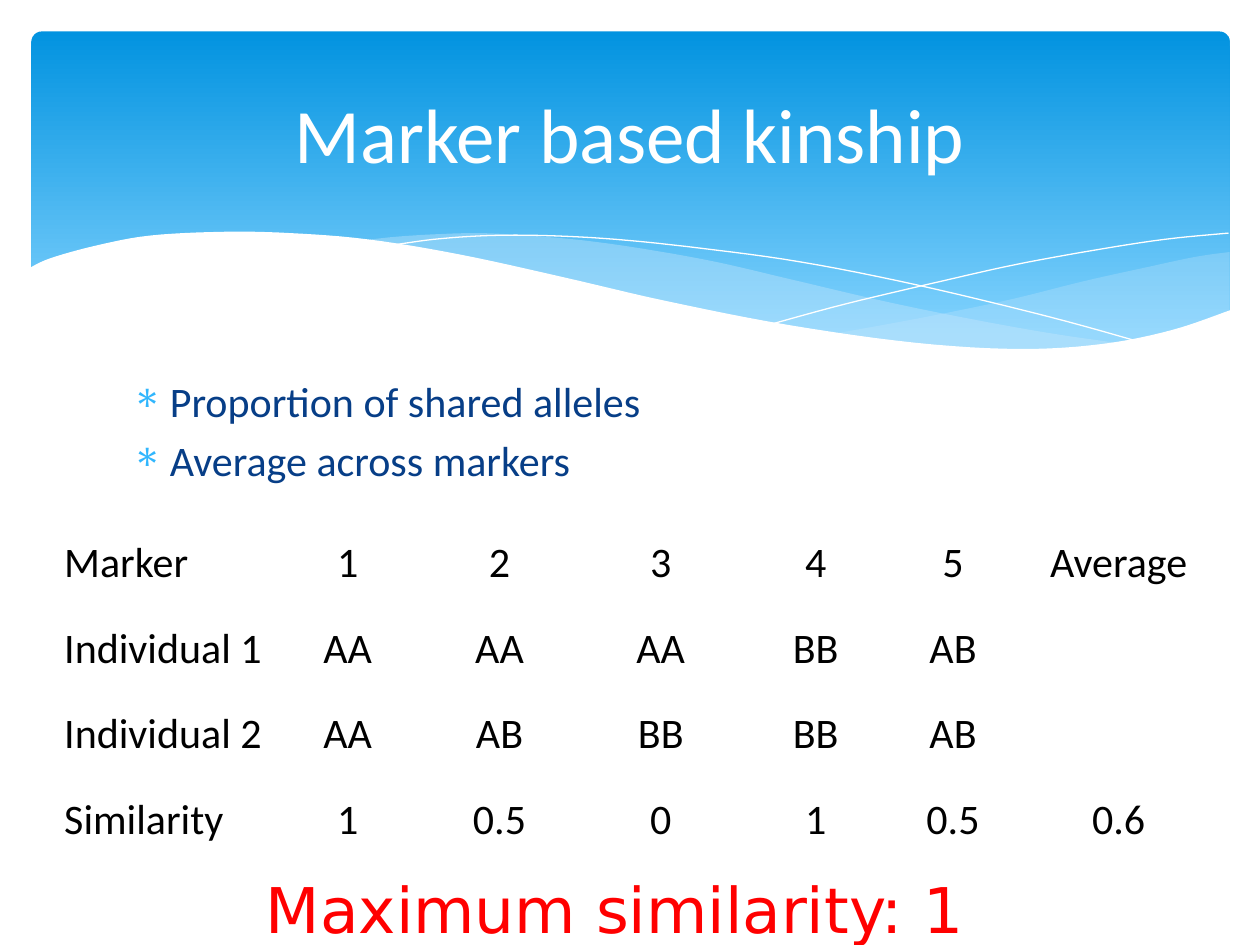
"""Build the marker based kinship slide on a grid of 100 columns by 75 rows."""
from dataclasses import dataclass
from typing import Optional

import lxml.etree
import pptx
import pptx.dml.color
import pptx.enum.shapes
import pptx.enum.text
import pptx.oxml.ns
import pptx.util

RGB = pptx.dml.color.RGBColor
WHITE = RGB(0xFF, 0xFF, 0xFF)
BLACK = RGB(0x00, 0x00, 0x00)
RED = RGB(0xFF, 0x00, 0x00)
NAVY = RGB(0x07, 0x3E, 0x87)
SKY = RGB(0x31, 0xB6, 0xFD)
BANNER_TOP = RGB(0x02, 0x93, 0xE0)
BANNER_END = RGB(0x83, 0xD3, 0xFE)
PALE = RGB(0xC6, 0xE7, 0xFC)

ALIGN = pptx.enum.text.PP_ALIGN
ANCHOR = pptx.enum.text.MSO_ANCHOR
qn = pptx.oxml.ns.qn
Point = tuple[float, float]

SLIDE_W, SLIDE_H = pptx.util.Inches(10), pptx.util.Inches(7.5)
COL, ROW = SLIDE_W / 100, SLIDE_H / 75
CURVE_STEPS = 6


@dataclass(frozen=True)
class Wave:
    """A run of smooth edges, filled when it has a fill and stroked otherwise."""
    edges: tuple[tuple[Point, ...], ...]
    fill: Optional[RGB] = None
    opacity: int = 100


@dataclass(frozen=True)
class Label:
    """Lines of text in a box given in columns and rows."""
    box: tuple[float, float, float, float]
    lines: tuple[str, ...]
    size: float
    color: RGB
    font: str = "Calibri"
    align: ALIGN = ALIGN.CENTER
    anchor: ANCHOR = ANCHOR.TOP
    bullet: str = ""


WAVES = (
    Wave((((97.6, 20), (94.8, 20.4), (90.6, 21.3), (86.1, 22.3), (80.5, 23.7),
           (75.3, 24.8), (70.6, 25.7), (66.1, 26.5)),
          ((66.1, 26.5), (70.5, 27.1), (74.5, 27.5), (78.1, 27.7), (81.4, 27.8),
           (85.4, 27.7), (88.9, 27.2), (92.1, 26.5), (94.9, 25.7), (97.6, 24.7))),
         PALE, 29),
    Wave((((89.3, 27.3), (83.7, 26.5), (77.5, 25.4), (70.6, 24), (62.9, 22.2),
           (56.9, 20.8), (51.4, 19.8), (46.5, 19.1), (42, 18.7), (38, 18.5),
           (34.4, 18.6), (31.3, 18.8), (28.6, 19.1)),
          ((28.6, 19.1), (34.2, 19.9), (40.4, 21.1), (44.9, 22.2), (53, 24),
           (60.1, 25.5), (66.5, 26.6), (72.2, 27.4), (77.3, 27.7), (81.8, 27.8),
           (85.7, 27.7), (89.3, 27.3))),
         PALE, 40),
    Wave((((30.9, 19.5), (34.4, 19), (38.7, 18.7), (43.3, 18.7), (48.9, 19),
           (55.6, 19.7), (63.6, 20.8), (72.7, 22.6), (83.1, 25.1), (90.7, 27.2)),)),
    Wave((((61.3, 25.7), (67.2, 24.1), (74.8, 22.3), (80.6, 21), (86.6, 19.9),
           (92.4, 19), (97.5, 18.5)),)),
    Wave((((97.7, 24.6), (93, 26.2), (87.5, 27.3), (80.9, 27.7), (72.6, 27.2),
           (62.6, 25.8), (52.9, 23.9), (44.7, 22), (36.5, 20.2), (29.2, 19),
           (23, 18.5), (17.7, 18.4), (11.9, 18.7), (7.6, 19.5), (4, 20.5), (2.3, 21.3)),
          ((2.3, 32.9), (97.7, 32.9))),
         WHITE),
)

LABELS = (
    Label((9.5, 29.3, 81, 12.1), ("Proportion of shared alleles", "Average across markers"),
          24, NAVY, align=ALIGN.LEFT, bullet="∗"),
    Label((5, 3.7, 90, 13.7), ("Marker based kinship",), 44, WHITE, anchor=ANCHOR.MIDDLE),
    Label((19.2, 68.6, 59.2, 7.1), ("Maximum similarity: 1",), 36, RED, font="DejaVu Sans"),
)

TABLE_LEFT, TABLE_TOP, TABLE_ROW = 5, 41.3, 6.78
TABLE_COLS = (16.9, 11.4, 12.7, 12.9, 11.7, 10.1, 16.2)
GENOTYPES = (
    ("Marker", "1", "2", "3", "4", "5", "Average"),
    ("Individual 1", "AA", "AA", "AA", "BB", "AB", ""),
    ("Individual 2", "AA", "AB", "BB", "BB", "AB", ""),
    ("Similarity", "1", "0.5", "0", "1", "0.5", "0.6"),
)


def place(left: float, top: float, width: float, height: float) -> tuple[int, ...]:
    """Turn columns and rows into slide lengths."""
    return round(left * COL), round(top * ROW), round(width * COL), round(height * ROW)


def smooth(knots: tuple[Point, ...]) -> list[Point]:
    """Sample a Catmull-Rom curve through the knots."""
    padded = (knots[0], *knots, knots[-1])
    points = [knots[0]]
    for a, b, c, d in zip(padded, padded[1:], padded[2:], padded[3:]):
        for step in range(1, CURVE_STEPS + 1):
            t = step / CURVE_STEPS
            points.append(tuple(
                (2 * q + (r - p) * t + (2 * p - 5 * q + 4 * r - s) * t ** 2
                 + (3 * q - p - 3 * r + s) * t ** 3) / 2
                for p, q, r, s in zip(a, b, c, d)))
    return points


def add_run(p, text: str, size: float, color: RGB, font: str = "Calibri") -> None:
    """Append one styled run to a paragraph."""
    r = p.add_run()
    r.text = text
    r.font.size = pptx.util.Pt(size)
    r.font.name = font
    r.font.color.rgb = color


def add_banner(s) -> None:
    """Draw the rounded gradient banner."""
    sp = s.shapes.add_shape(pptx.enum.shapes.MSO_SHAPE.ROUNDED_RECTANGLE,
                            *place(2.5, 2.5, 95.1, 27))
    sp.adjustments[0] = 0.03
    sp.shadow.inherit = False
    sp.line.fill.background()
    sp.fill.gradient()
    sp.fill.gradient_angle = 270
    for stop, color, position in zip(sp.fill.gradient_stops, (BANNER_TOP, BANNER_END), (0, 0.9)):
        stop.color.rgb = color
        stop.position = position


def add_wave(s, wave: Wave) -> None:
    """Draw one wave as a freeform."""
    first, *rest = [(x * COL, y * ROW) for edge in wave.edges for x, y in smooth(edge)]
    builder = s.shapes.build_freeform(*first)
    builder.add_line_segments(rest, close=wave.fill is not None)
    sp = builder.convert_to_shape()
    sp.shadow.inherit = False
    if wave.fill is None:
        sp.fill.background()
        sp.line.color.rgb = WHITE
        sp.line.width = 0
        return
    sp.line.fill.background()
    sp.fill.solid()
    sp.fill.fore_color.rgb = wave.fill
    if wave.opacity < 100:
        color = sp.fill._xPr.find(".//" + qn("a:srgbClr"))
        lxml.etree.SubElement(color, qn("a:alpha"), val=str(wave.opacity * 1000))


def add_bullet(p, char: str) -> None:
    """Give a paragraph a hanging coloured bullet."""
    indent = round(3 * COL)
    pPr = p._p.get_or_add_pPr()
    pPr.set("marL", str(indent))
    pPr.set("indent", str(-indent))
    color = lxml.etree.SubElement(pPr, qn("a:buClr"))
    lxml.etree.SubElement(color, qn("a:srgbClr"), val=str(SKY))
    lxml.etree.SubElement(pPr, qn("a:buChar"), char=char)


def add_label(s, label: Label) -> None:
    """Draw one text box."""
    tf = s.shapes.add_textbox(*place(*label.box)).text_frame
    tf.word_wrap = True
    tf.vertical_anchor = label.anchor
    for i, line in enumerate(label.lines):
        p = tf.add_paragraph() if i else tf.paragraphs[0]
        p.alignment = label.align
        if label.bullet:
            add_bullet(p, label.bullet)
        if i:
            p.space_before = pptx.util.Pt(label.size * 0.2)
        add_run(p, line, label.size, label.color, label.font)


def add_genotypes(s) -> None:
    """Draw the table of genotypes and similarities."""
    box = place(TABLE_LEFT, TABLE_TOP, sum(TABLE_COLS), TABLE_ROW * len(GENOTYPES))
    table = s.shapes.add_table(len(GENOTYPES), len(TABLE_COLS), *box).table
    table.first_row = table.horz_banding = False
    for column, width in zip(table.columns, TABLE_COLS):
        column.width = round(width * COL)
    for i, texts in enumerate(GENOTYPES):
        for j, text in enumerate(texts):
            cell = table.cell(i, j)
            cell.fill.background()
            cell.vertical_anchor = ANCHOR.MIDDLE
            cell.margin_left = cell.margin_right = cell.margin_top = round(0.1 * COL)
            cell.margin_bottom = 0
            p = cell.text_frame.paragraphs[0]
            p.alignment = ALIGN.CENTER if j else ALIGN.LEFT
            if text:
                add_run(p, text, 24, BLACK)


def main() -> None:
    """Build and save the slide."""
    prs = pptx.Presentation()
    prs.slide_width, prs.slide_height = SLIDE_W, SLIDE_H
    s = prs.slides.add_slide(prs.slide_layouts[6])
    add_banner(s)
    for wave in WAVES:
        add_wave(s, wave)
    body, title, footer = LABELS
    add_label(s, body)
    add_label(s, title)
    add_genotypes(s)
    add_label(s, footer)
    prs.save("out.pptx")


if __name__ == "__main__":
    main()
